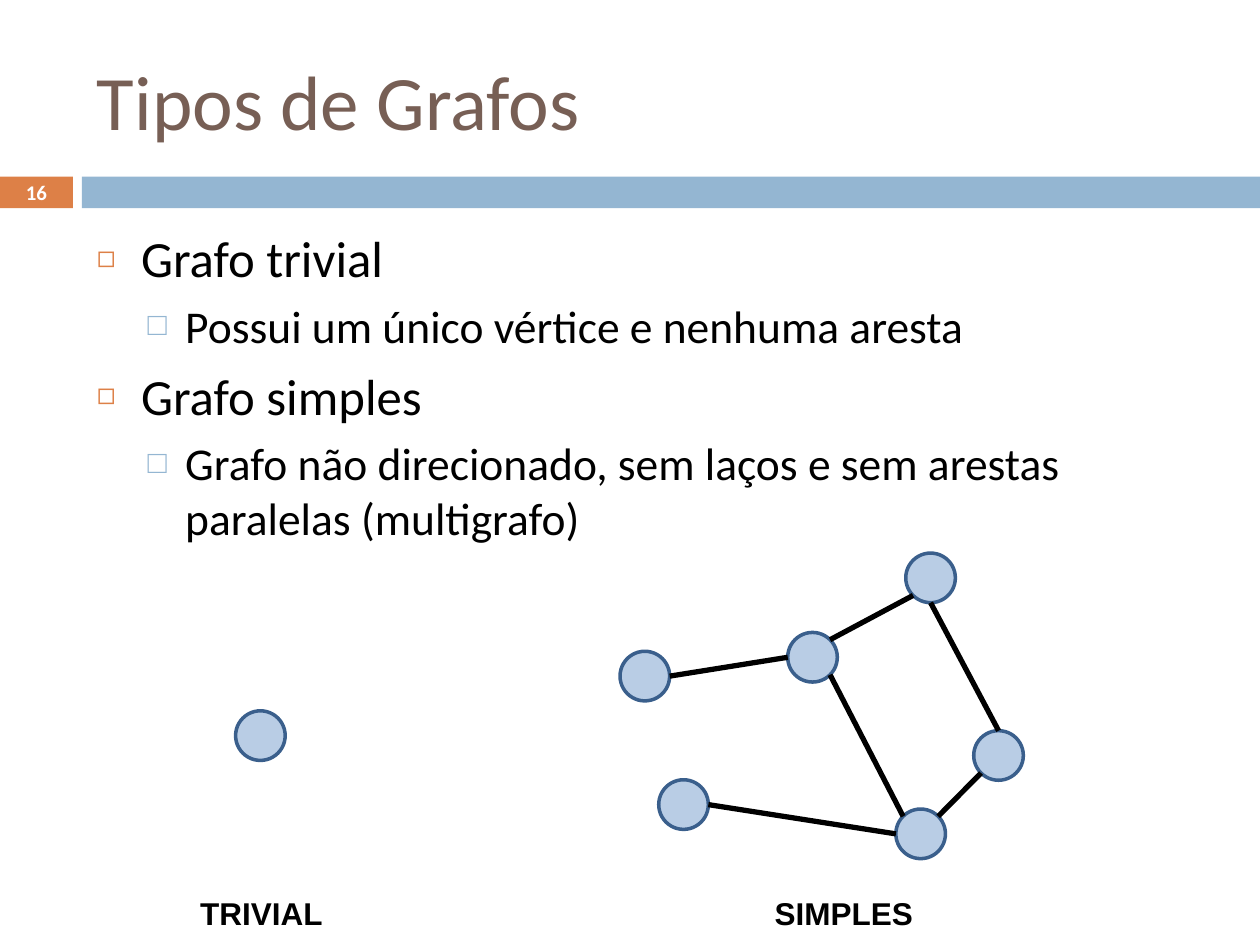
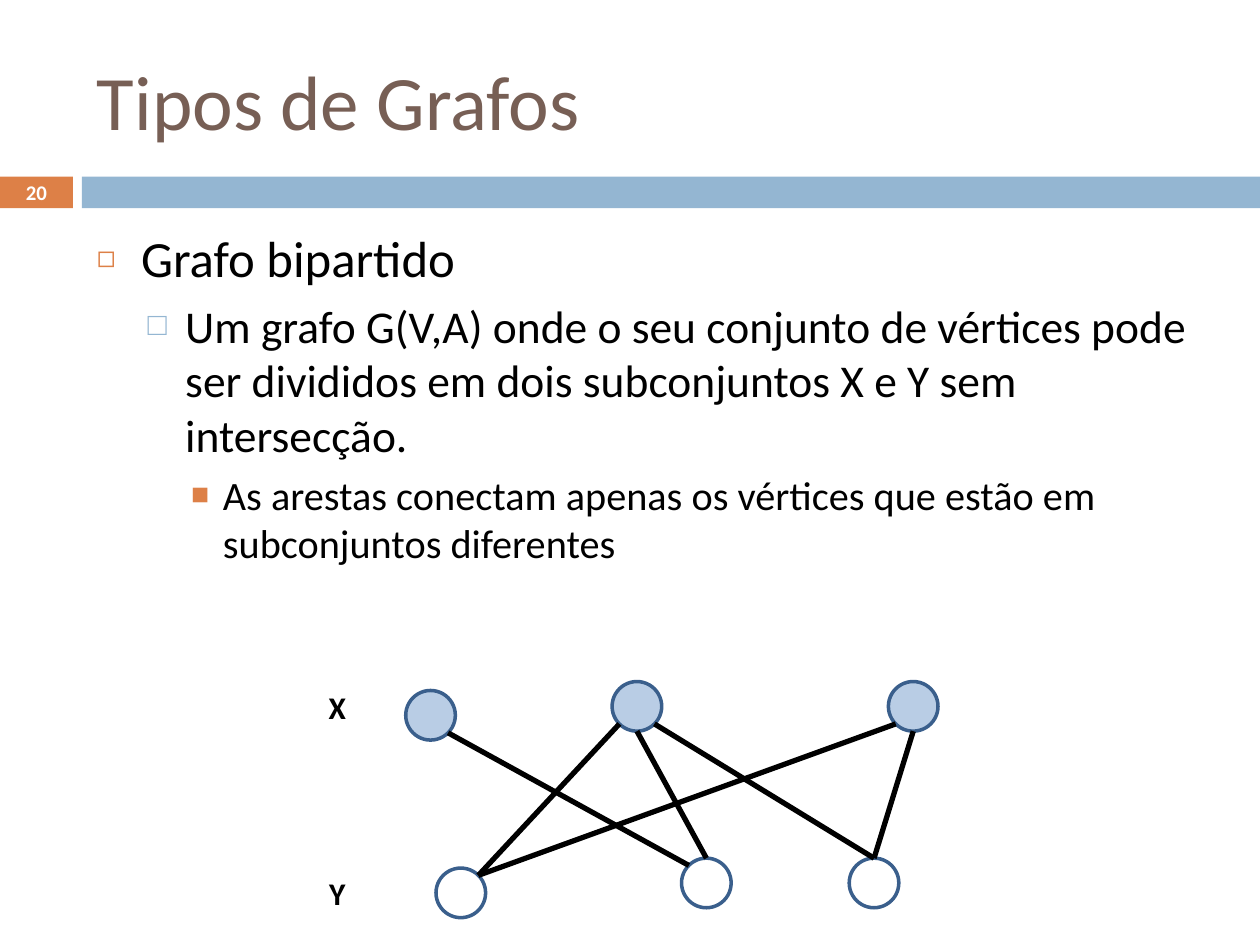
import pptx
import pptx.util
import pptx.dml.color
import pptx.enum.shapes
import pptx.enum.text
import pptx.oxml
import pptx.oxml.ns
from pptx.util import Cm, Pt

# Content: body lines are (level, text), nodes are name: (left, top) in cm,
# edges are (node, compass point, node, compass point)
TITLE = "Tipos de Grafos"
SLIDES = [
    {
        "number": "16",
        "body": [
            (0, "Grafo trivial"),
            (1, "Possui um único vértice e nenhuma aresta"),
            (0, "Grafo simples"),
            (1, "Grafo não direcionado, sem laços e sem arestas paralelas (multigrafo)"),
        ],
        "filled": {
            "trivial": (4.75, 14.33), "a": (12.5, 13.13), "b": (15.88, 12.75),
            "c": (18.26, 11.15), "d": (19.63, 14.73), "e": (18.06, 16.31),
            "f": (13.28, 15.72),
        },
        "hollow": {},
        "edges": [
            ("a", "E", "b", "W"), ("c", "SW", "b", "NE"), ("c", "S", "d", "N"),
            ("e", "NE", "d", "SW"), ("b", "SE", "e", "NW"), ("f", "E", "e", "W"),
        ],
        "label_font": "Arial",
        "labels": [("TRIVIAL", 3.58, 17.9), ("SIMPLES", 15.32, 17.9)],
    },
    {
        "number": "20",
        "body": [
            (0, "Grafo bipartido"),
            (1, "Um grafo G(V,A) onde o seu conjunto de vértices pode ser divididos "
                "em dois subconjuntos X e Y sem intersecção."),
            (2, "As arestas conectam apenas os vértices que estão em subconjuntos diferentes"),
        ],
        "filled": {"x1": (8.18, 13.92), "x2": (12.34, 13.74), "x3": (17.91, 13.74)},
        "hollow": {"y1": (8.79, 17.5), "y2": (13.74, 17.3), "y3": (17.12, 17.3)},
        "edges": [
            ("x1", "SE", "y2", "NW"), ("x2", "SW", "y1", "NE"), ("x2", "S", "y2", "N"),
            ("x2", "SE", "y3", "N"), ("x3", "SW", "y1", "NE"), ("x3", "S", "y3", "N"),
        ],
        "label_font": "Calibri",
        "labels": [("X", 5.11, 13.74), ("Y", 5.11, 17.5)],
    },
]

# Shared style
COLORS = {
    "title": "775F55", "text": "000000", "white": "FFFFFF", "orange": "DD8047",
    "blue": "94B6D2", "node": "B9CDE5", "rim": "3A5F8C",
}
FONT = "Calibri"
# size, left margin, hanging indent (cm), space before, bullet, colour, bullet size %
LEVELS = [
    (29, 0.89, 0.89, 7, "◻", "orange", 60),
    (26, 1.78, 0.76, 5.5, "□", "blue", 70),
    (23, 2.54, 0.64, 5, "■", "orange", 75),
]
NODE = 1
DIAGONAL = 0.5 ** 0.5
COMPASS = {
    "N": (0, -1), "S": (0, 1), "W": (-1, 0), "E": (1, 0),
    "NW": (-DIAGONAL, -DIAGONAL), "NE": (DIAGONAL, -DIAGONAL),
    "SW": (-DIAGONAL, DIAGONAL), "SE": (DIAGONAL, DIAGONAL),
}
SHAPE = pptx.enum.shapes.MSO_SHAPE
ANCHOR = pptx.enum.text.MSO_ANCHOR
ALIGN = pptx.enum.text.PP_ALIGN


def rgb(name):
    return pptx.dml.color.RGBColor.from_string(COLORS[name])


def add_run(p, text, size, color, font=FONT, bold=False):
    r = p.add_run()
    r.text = text
    r.font.size, r.font.name, r.font.bold = Pt(size), font, bold
    r.font.color.rgb = rgb(color)


def add_element(parent, tag, **attributes):
    element = pptx.oxml.parse_xml(f"<a:{tag} {pptx.oxml.ns.nsdecls('a')}/>")
    for key, value in attributes.items():
        element.set(key, value)
    parent.append(element)
    return element


def place(sp, left, top, width, height):
    sp.left, sp.top, sp.width, sp.height = Cm(left), Cm(top), Cm(width), Cm(height)


def add_shape(s, kind, left, top, width, height, fill=None, rim=None):
    sp = s.shapes.add_shape(kind, Cm(left), Cm(top), Cm(width), Cm(height))
    sp.shadow.inherit = False
    if fill:
        sp.fill.solid()
        sp.fill.fore_color.rgb = rgb(fill)
    else:
        sp.fill.background()
    if rim:
        sp.line.color.rgb = rgb(rim)
        sp.line.width = Pt(2)
    else:
        sp.line.fill.background()


def add_label(s, text, left, top, width, height, size, color, font):
    sp = s.shapes.add_textbox(Cm(left), Cm(top), Cm(width), Cm(height))
    tf = sp.text_frame
    tf.word_wrap = True
    p = tf.paragraphs[0]
    p.alignment = ALIGN.CENTER
    add_run(p, text, size, color, font, True)
    return tf


def add_frame(s, number):
    # Bands
    add_shape(s, SHAPE.RECTANGLE, 0, 3.56, 1.47, 0.64, "orange")
    add_shape(s, SHAPE.RECTANGLE, 1.65, 3.56, 23.75, 0.64, "blue")
    # Title
    place(s.shapes.title, 1.7, 0.64, 22.66, 2.74)
    tf = s.shapes.title.text_frame
    tf.auto_size = pptx.enum.text.MSO_AUTO_SIZE.NONE
    tf.vertical_anchor = ANCHOR.MIDDLE
    tf.paragraphs[0].alignment = ALIGN.LEFT
    add_run(tf.paragraphs[0], TITLE, 44, "title")
    # Slide number
    tf = add_label(s, number, 0, 3.53, 1.47, 0.69, 11.9, "white", FONT)
    tf.vertical_anchor = ANCHOR.MIDDLE
    tf.margin_left = tf.margin_right = tf.margin_top = tf.margin_bottom = 0


def add_body(s, lines):
    sp = s.placeholders[1]
    place(sp, 1.7, 4.45, 22.66, 12.5)
    tf = sp.text_frame
    tf.auto_size = pptx.enum.text.MSO_AUTO_SIZE.NONE
    tf.vertical_anchor = ANCHOR.TOP
    for i, (level, text) in enumerate(lines):
        size, margin, hanging, before, bullet, color, percent = LEVELS[level]
        p = tf.add_paragraph() if i else tf.paragraphs[0]
        p.level = level
        p.space_before = Pt(before if i else 0)
        pPr = p._p.get_or_add_pPr()
        pPr.set("marL", str(Cm(margin)))
        pPr.set("indent", str(-Cm(hanging)))
        add_element(add_element(pPr, "buClr"), "srgbClr", val=COLORS[color])
        add_element(pPr, "buSzPct", val=str(percent * 1000))
        add_element(pPr, "buChar", char=bullet)
        add_run(p, text, size, "text")


def rim_point(corner, side):
    return [Cm(start + NODE / 2 * (1 + step)) for start, step in zip(corner, COMPASS[side])]


def add_graph(s, filled, hollow, edges):
    for nodes, fill in ((filled, "node"), (hollow, None)):
        for left, top in nodes.values():
            add_shape(s, SHAPE.OVAL, left, top, NODE, NODE, fill, "rim")
    corners = {**filled, **hollow}
    for first, first_side, second, second_side in edges:
        line = s.shapes.add_connector(
            pptx.enum.shapes.MSO_CONNECTOR.STRAIGHT,
            *rim_point(corners[first], first_side),
            *rim_point(corners[second], second_side))
        line.line.color.rgb = rgb("text")
        line.line.width = Pt(3)
        add_element(line._element.spPr, "effectLst")


def main():
    prs = pptx.Presentation()
    prs.slide_width, prs.slide_height = Cm(25.4), Cm(19.05)
    for content in SLIDES:
        s = prs.slides.add_slide(prs.slide_layouts[1])
        add_frame(s, content["number"])
        add_body(s, content["body"])
        add_graph(s, content["filled"], content["hollow"], content["edges"])
        for text, left, top in content["labels"]:
            add_label(s, text, left, top, 3.38, 1.02, 18, "text", content["label_font"])
    prs.save("out.pptx")


if __name__ == "__main__":
    main()
